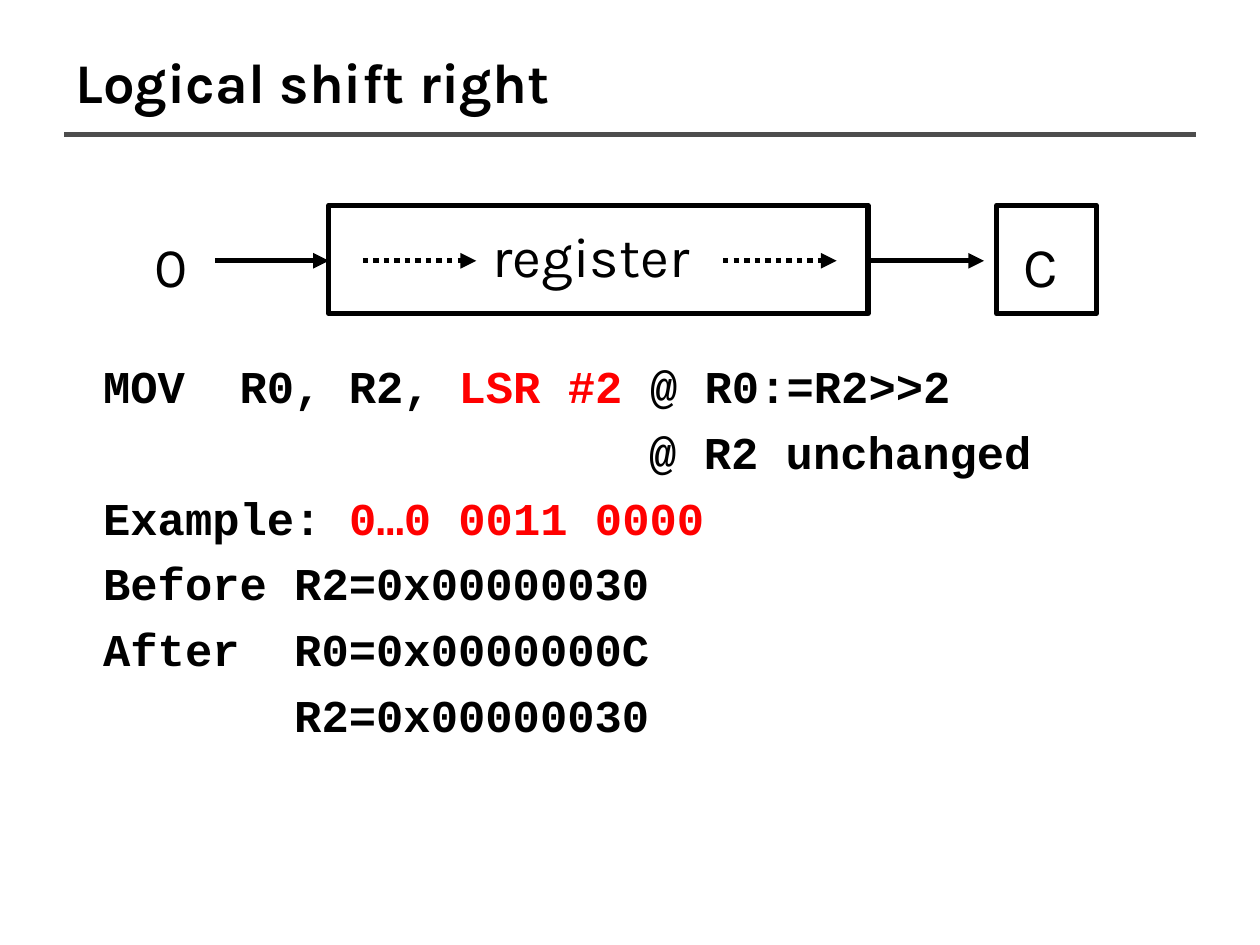
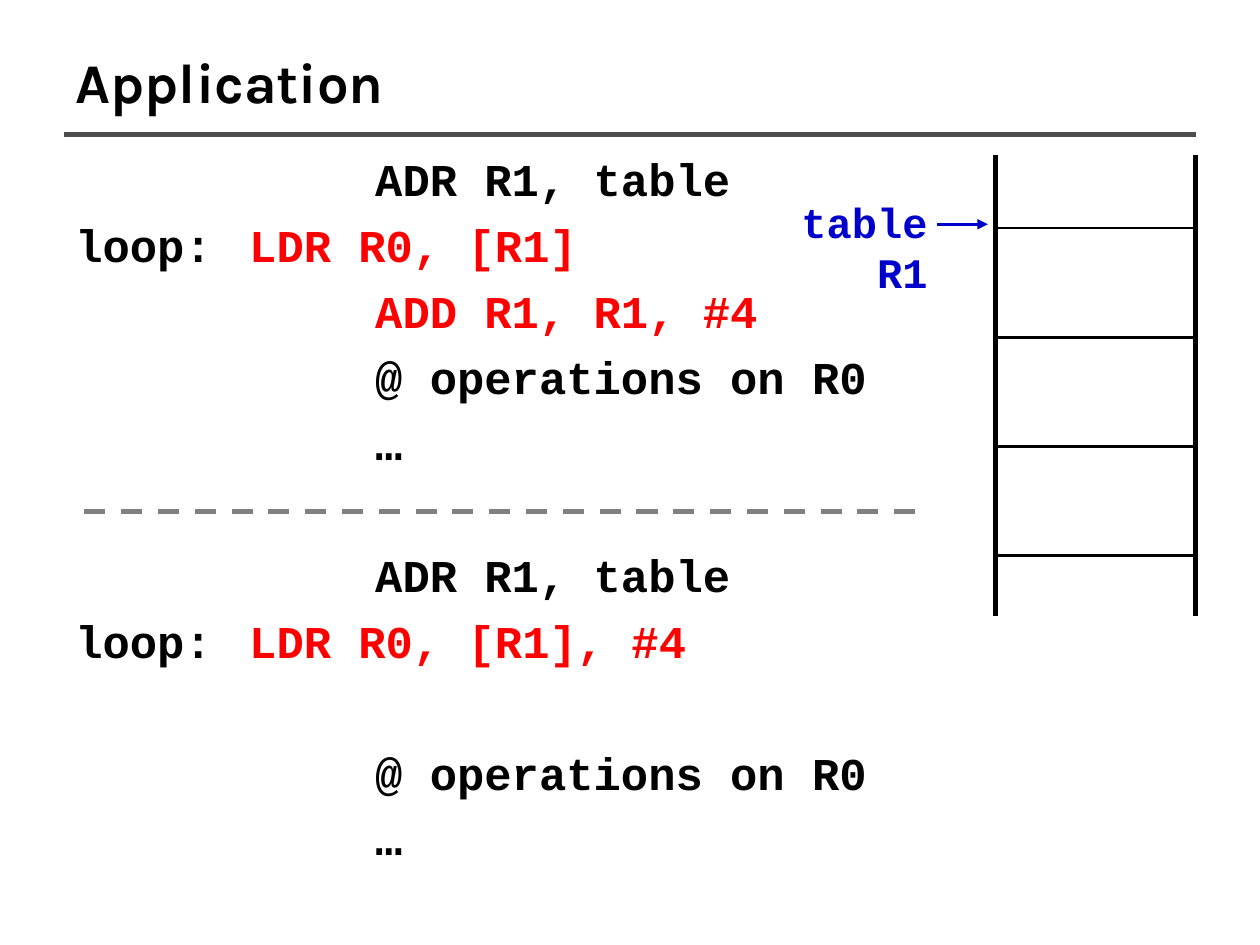
from dataclasses import dataclass

from lxml import etree
from pptx import Presentation
from pptx.dml.color import RGBColor
from pptx.enum.dml import MSO_LINE
from pptx.enum.shapes import MSO_CONNECTOR, MSO_SHAPE
from pptx.enum.text import MSO_ANCHOR, MSO_AUTO_SIZE, PP_ALIGN
from pptx.oxml.ns import qn
from pptx.util import Inches, Pt

STRAIGHT = MSO_CONNECTOR.STRAIGHT
RECTANGLE = MSO_SHAPE.RECTANGLE
DOTTED, DASHED = MSO_LINE.ROUND_DOT, MSO_LINE.DASH
LEFT, RIGHT = PP_ALIGN.LEFT, PP_ALIGN.RIGHT
TOP, MIDDLE = MSO_ANCHOR.TOP, MSO_ANCHOR.MIDDLE
TITLE_ONLY = 5


@dataclass(frozen=True)
class Theme:
    ink: RGBColor = RGBColor(0, 0, 0)
    accent: RGBColor = RGBColor(0xFF, 0, 0)
    pointer: RGBColor = RGBColor(0, 0, 0xCC)
    rule: RGBColor = RGBColor(0x4D, 0x4D, 0x4D)
    divider: RGBColor = RGBColor(0x80, 0x80, 0x80)
    sans: str = "Karla"
    mono: str = "Courier New"
    title_size: float = 32
    code_size: float = 26
    pointer_size: float = 24
    line_height: float = 31.2
    code_gap: float = 6.5
    thick: float = 3
    thin: float = 1.5


THEME = Theme()

# Content: each code line is a list of (text, colour) runs, None skips a line
INK, RED = THEME.ink, THEME.accent

SHIFT_TITLE = "Logical shift right"
SHIFT_CODE = [
    [("MOV  R0, R2, ", INK), ("LSR #2 ", RED), ("@ R0:=R2>>2", INK)],
    [("                    @ R2 unchanged", INK)],
    [("Example: ", INK), ("0…0 0011 0000", RED)],
    [("Before R2=0x00000030", INK)],
    [("After  R0=0x0000000C", INK)],
    [("       R2=0x00000030", INK)],
]
SHIFT_BOXES = [(2.61, 1.63, 4.28, 0.86), (7.91, 1.63, 0.79, 0.86)]
SHIFT_LABELS = [
    ("0", (1.11, 1.78, 0.5, 0.66)),
    ("register", (3.79, 1.7, 1.88, 0.66)),
    ("C", (8, 1.78, 0.53, 0.66)),
]
# Start of each arrow and its dash
SHIFT_ARROWS = [(1.71, None), (2.88, DOTTED), (5.74, DOTTED), (6.91, None)]
ARROW_LENGTH, ARROW_Y = 0.9, 2.07

APPLICATION_TITLE = "Application"
APPLICATION_CODE = [
    [("\t\t\tADR R1, table", INK)],
    [("loop: \t", INK), ("LDR R0, [R1]", RED)],
    [("\t\t\tADD R1, R1, #4", RED)],
    [("\t\t\t@ operations on R0", INK)],
    [("\t\t\t…", INK)],
    None,
    [("\t\t\tADR R1, table", INK)],
    [("loop: \t", INK), ("LDR R0, [R1], #4", RED)],
    None,
    [("\t\t\t@ operations on R0", INK)],
    [("\t\t\t…", INK)],
]
CODE_TABS = (0.38, 1.38, 2.38)
POINTER_LABELS = ["table", "R1"]
MEMORY_LEFT, MEMORY_WIDTH = 7.9, 1.59
MEMORY_TOP, MEMORY_BOTTOM = 1.23, 4.89
CELLS_TOP, CELLS_BOTTOM, CELL_COUNT = 1.81, 4.41, 3


# Helpers
def inches(box):
    return [Inches(value) for value in box]


def add_run(paragraph, text, font_name, size, color, bold=False):
    run = paragraph.add_run()
    run.text = text
    run.font.name = font_name
    run.font.size = Pt(size)
    run.font.color.rgb = color
    run.font.bold = bold


def add_line(slide, start, end, color, width, dash=None, arrow=False):
    line = slide.shapes.add_connector(STRAIGHT, *inches(start + end))
    line.line.color.rgb = color
    line.line.width = Pt(width)
    if dash is not None:
        line.line.dash_style = dash
    properties = line._element.spPr
    if arrow:
        tail = etree.SubElement(properties.find(qn("a:ln")), qn("a:tailEnd"))
        tail.set("type", "triangle")
    etree.SubElement(properties, qn("a:effectLst"))


def add_outline(slide, box, width):
    outline = slide.shapes.add_shape(RECTANGLE, *inches(box))
    outline.shadow.inherit = False
    outline.fill.background()
    outline.line.color.rgb = THEME.ink
    outline.line.width = Pt(width)


def add_text_frame(slide, box, margins, wrap):
    frame = slide.shapes.add_textbox(*inches(box)).text_frame
    frame.word_wrap = wrap
    frame.vertical_anchor = TOP
    side, edge = inches(margins)
    frame.margin_left = frame.margin_right = side
    frame.margin_top = frame.margin_bottom = edge
    return frame


def next_paragraph(frame, index):
    return frame.add_paragraph() if index else frame.paragraphs[0]


def set_tabs(paragraph, stops):
    tab_list = etree.SubElement(paragraph._p.get_or_add_pPr(), qn("a:tabLst"))
    for stop in stops:
        etree.SubElement(tab_list, qn("a:tab"), pos=str(Inches(stop)), algn="l")


def add_code(slide, box, lines, tabs=()):
    frame = add_text_frame(slide, box, (0.1, 0.05), True)
    skipped = 0
    for index, runs in enumerate(lines):
        if runs is None:
            skipped += 1
            continue
        paragraph = next_paragraph(frame, index)
        if tabs:
            set_tabs(paragraph, tabs)
        if index:
            pitch = THEME.line_height + THEME.code_gap
            paragraph.space_before = Pt(THEME.code_gap + skipped * pitch)
        skipped = 0
        for text, color in runs:
            add_run(paragraph, text, THEME.mono, THEME.code_size, color, True)


def add_titled_slide(deck, title):
    slide = deck.slides.add_slide(deck.slide_layouts[TITLE_ONLY])
    heading = slide.shapes.title
    heading.left, heading.top, heading.width, heading.height = inches((0.5, 0.3, 9, 0.69))
    frame = heading.text_frame
    frame.auto_size = MSO_AUTO_SIZE.NONE
    frame.vertical_anchor = MIDDLE
    frame.paragraphs[0].alignment = LEFT
    add_run(frame.paragraphs[0], title, THEME.sans, THEME.title_size, THEME.ink, True)
    add_line(slide, (0.51, 1.07), (9.49, 1.07), THEME.rule, THEME.thick)
    return slide


# Slides
def build_shift(deck):
    slide = add_titled_slide(deck, SHIFT_TITLE)
    add_code(slide, (0.72, 2.79, 8.85, 4.04), SHIFT_CODE)
    for box in SHIFT_BOXES:
        add_outline(slide, box, THEME.thick)
    for left, dash in SHIFT_ARROWS:
        add_line(slide, (left, ARROW_Y), (left + ARROW_LENGTH, ARROW_Y),
                 THEME.ink, THEME.thick, dash, arrow=True)
    for label, box in SHIFT_LABELS:
        frame = add_text_frame(slide, box, (0.12, 0.06), False)
        add_run(frame.paragraphs[0], label, THEME.sans, THEME.title_size, THEME.ink)


def build_application(deck):
    slide = add_titled_slide(deck, APPLICATION_TITLE)
    add_code(slide, (0.5, 1.15, 9, 5.98), APPLICATION_CODE, CODE_TABS)
    add_line(slide, (0.67, 4.06), (7.28, 4.06), THEME.divider, THEME.thick, DASHED)

    # Memory column: cells between two open rails
    cell_height = (CELLS_BOTTOM - CELLS_TOP) / CELL_COUNT
    for row in range(CELL_COUNT):
        top = CELLS_TOP + row * cell_height
        add_outline(slide, (MEMORY_LEFT, top, MEMORY_WIDTH, cell_height), THEME.thin)
    for rail in (MEMORY_LEFT, MEMORY_LEFT + MEMORY_WIDTH):
        add_line(slide, (rail, MEMORY_TOP), (rail, MEMORY_BOTTOM), THEME.ink, THEME.thick)

    # Pointer into the table
    add_line(slide, (7.44, 1.78), (7.84, 1.78), THEME.pointer, THEME.thin, arrow=True)
    frame = add_text_frame(slide, (6.26, 1.51, 1.2, 0.9), (0.1, 0.05), False)
    for index, label in enumerate(POINTER_LABELS):
        paragraph = next_paragraph(frame, index)
        paragraph.alignment = RIGHT
        add_run(paragraph, label, THEME.mono, THEME.pointer_size, THEME.pointer, True)


def main():
    deck = Presentation()
    deck.slide_width, deck.slide_height = Inches(10), Inches(7.5)
    build_shift(deck)
    build_application(deck)
    deck.save("out.pptx")


if __name__ == "__main__":
    main()
